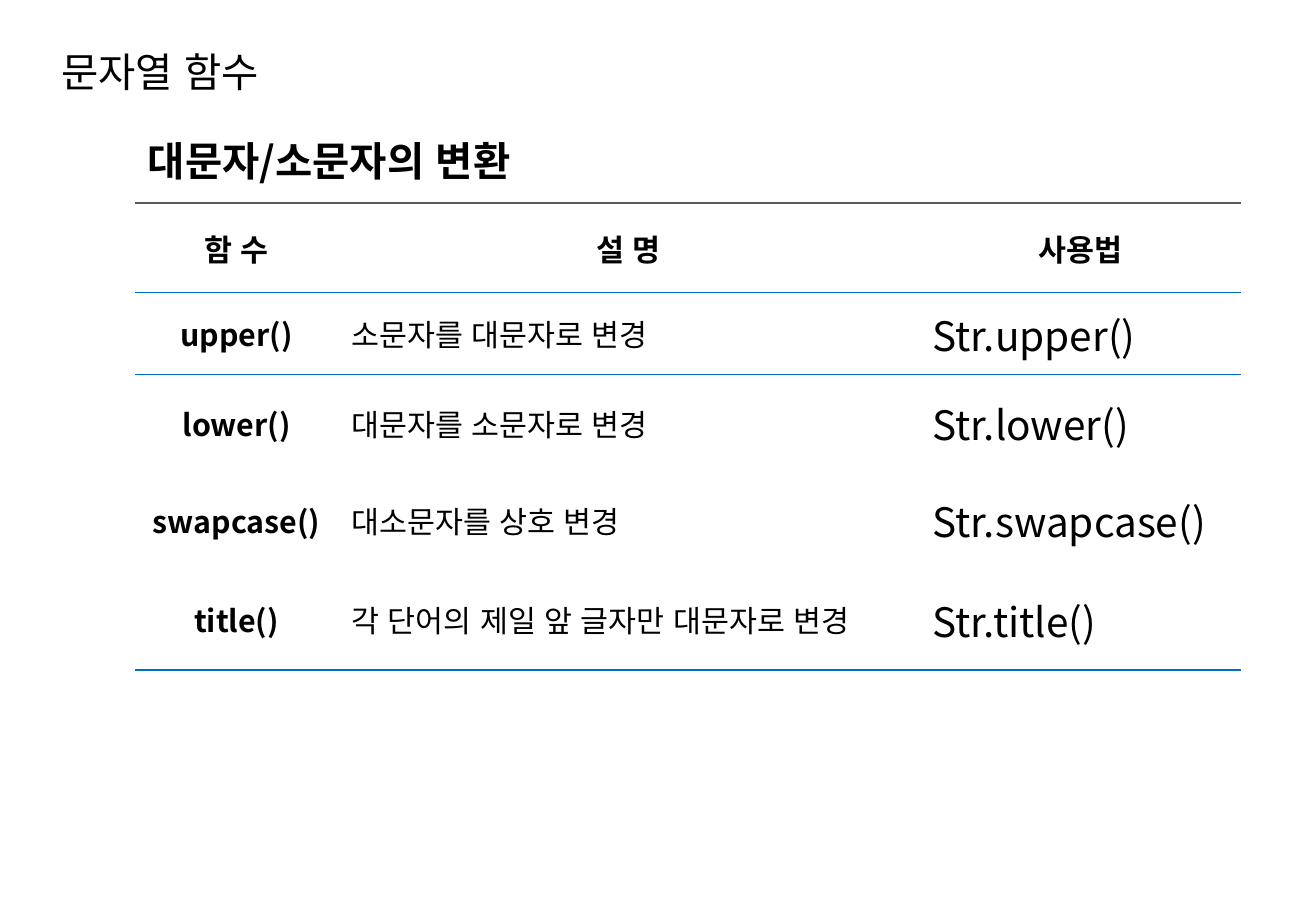
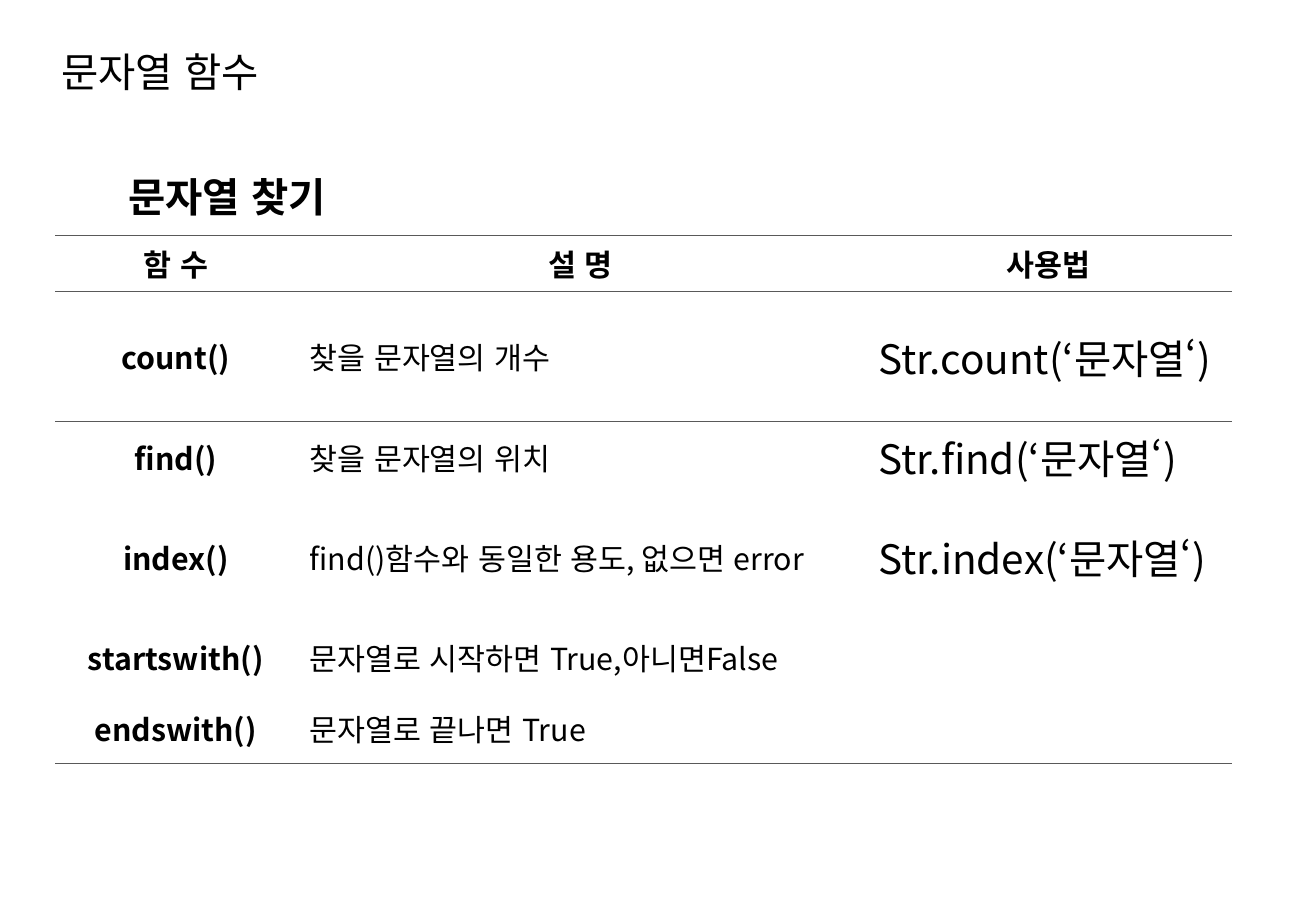
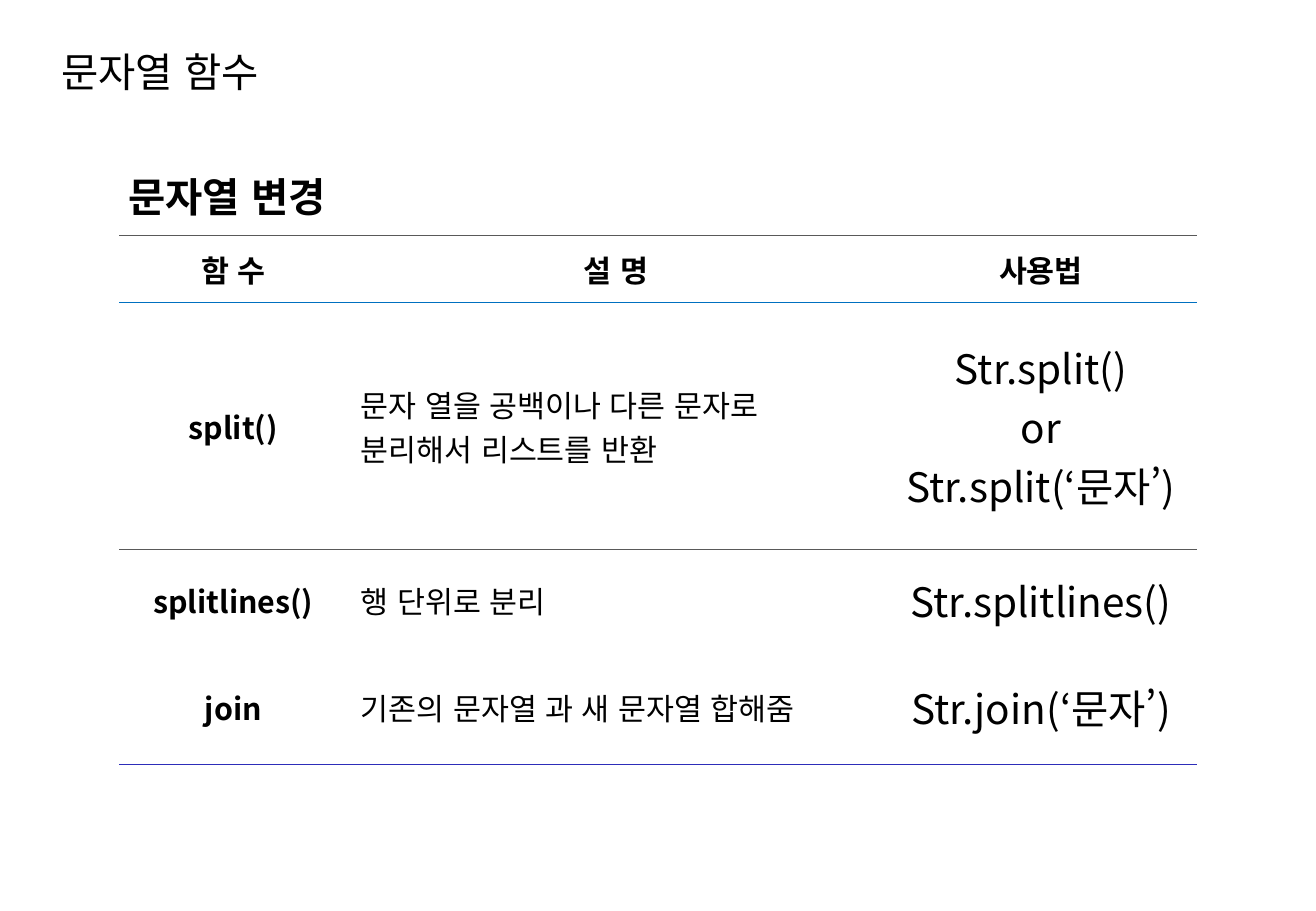
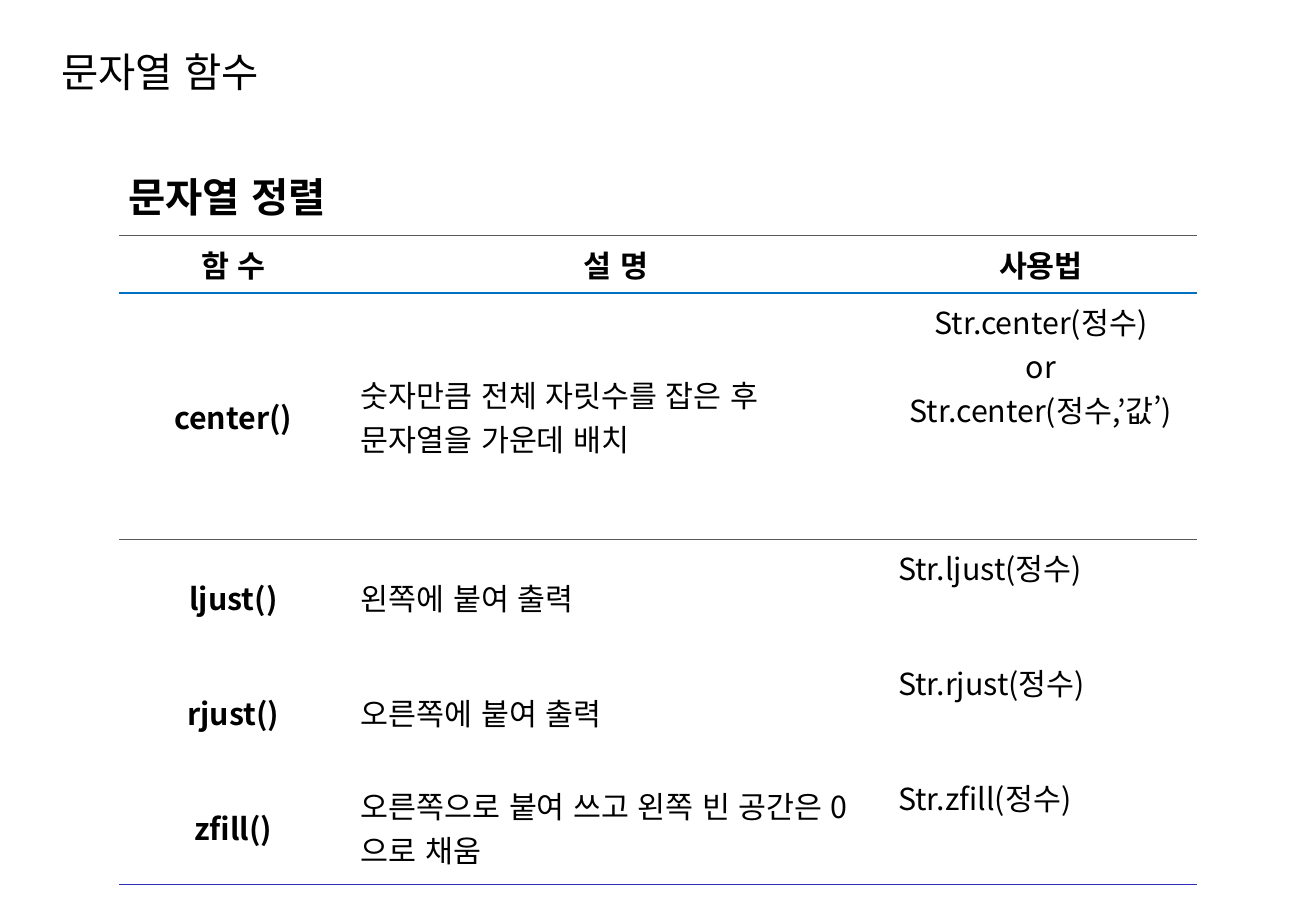
from lxml import etree
from pptx import Presentation
from pptx.dml.color import RGBColor
from pptx.enum.lang import MSO_LANGUAGE_ID
from pptx.enum.text import MSO_ANCHOR, PP_ALIGN
from pptx.oxml.ns import qn
from pptx.util import Pt

LEFT, CENTER = PP_ALIGN.LEFT, PP_ALIGN.CENTER
TOP, MIDDLE = MSO_ANCHOR.TOP, MSO_ANCHOR.MIDDLE
KOREAN = MSO_LANGUAGE_ID.KOREAN

FONT = "Noto Sans CJK KR"
COLORS = {"text": "000000", "gray": "595959", "blue": "0070C0", "indigo": "2D2DB9"}
RULE_WIDTHS = {"gray": 0.75, "blue": 1, "indigo": 1}
PLAIN_TABLE = "{2D5ABB26-0587-4C30-8999-92F81FD0307C}"
TITLE = "문자열 함수"
HEADINGS = ("함 수", "설 명", "사용법")

# Content: rules maps a line number (0 = table top) to its colour
SECTIONS = [
    {
        "heading": "대문자/소문자의 변환", "heading_at": (80.6, 77),
        "table_at": (80, 120.3),
        "columns": (120.4, 344.4, 190.8),
        "heights": (53.2, 48.4, 57.6, 57.6, 60.2),
        "rules": {0: "gray", 1: "blue", 2: "blue", 5: "blue"},
        "usage": (24, LEFT, MIDDLE),
        "rows": [
            ("upper()", "소문자를 대문자로 변경", "Str.upper()"),
            ("lower()", "대문자를 소문자로 변경", "Str.lower()"),
            ("swapcase()", "대소문자를 상호 변경", "Str.swapcase()"),
            ("title()", "각 단어의 제일 앞 글자만 대문자로 변경", "Str.title()"),
        ],
    },
    {
        "heading": "문자열 찾기", "heading_at": (69, 98.6),
        "table_at": (32.7, 139.7),
        "columns": (143, 337, 217.4),
        "heights": (33.2, 77, 42, 77, 41.8, 41.8),
        "rules": {0: "gray", 1: "gray", 2: "gray", 6: "gray"},
        "usage": (24, LEFT, MIDDLE),
        "rows": [
            ("count()", "찾을 문자열의 개수", "Str.count(‘문자열‘)"),
            ("find()", "찾을 문자열의 위치", "Str.find(‘문자열‘)"),
            ("index()", "find()함수와 동일한 용도, 없으면 error", "Str.index(‘문자열‘)"),
            ("startswith()", "문자열로 시작하면 True,아니면False", ""),
            ("endswith()", "문자열로 끝나면 True", ""),
        ],
    },
    {
        "heading": "문자열 변경", "heading_at": (69, 98.6),
        "table_at": (70.6, 139.7),
        "columns": (135.4, 318.4, 185.2),
        "heights": (39.6, 146.4, 59.8, 67.7),
        "rules": {0: "gray", 1: "blue", 2: "gray", 4: "indigo"},
        "usage": (24, CENTER, MIDDLE),
        "rows": [
            ("split()", "문자 열을 공백이나 다른 문자로 분리해서 리스트를 반환",
             "Str.split()\nor\nStr.split(‘문자’)"),
            ("splitlines()", "행 단위로 분리", "Str.splitlines()"),
            ("join", "기존의 문자열 과 새 문자열 합해줌", "Str.join(‘문자’)"),
        ],
    },
    {
        "heading": "문자열 정렬", "heading_at": (69, 98.6),
        "table_at": (70.6, 139.7),
        "columns": (135.4, 318.4, 185.2),
        "heights": (34, 146.2, 68.1, 68.1, 68.1),
        "rules": {0: "gray", 1: "blue", 2: "gray", 5: "indigo"},
        "usage": (18, LEFT, TOP),
        "rows": [
            ("center()", "숫자만큼 전체 자릿수를 잡은 후 문자열을 가운데 배치",
             "Str.center(정수)\nor\nStr.center(정수,’값’)"),
            ("ljust()", "왼쪽에 붙여 출력", "Str.ljust(정수)"),
            ("rjust()", "오른쪽에 붙여 출력", "Str.rjust(정수)"),
            ("zfill()", "오른쪽으로 붙여 쓰고 왼쪽 빈 공간은 0으로 채움", "Str.zfill(정수)"),
        ],
    },
]


def write(frame, text, size, bold=False, align=LEFT):
    frame.text = text
    for paragraph in frame.paragraphs:
        paragraph.alignment = align
        font = paragraph.font
        font.size, font.bold, font.name = Pt(size), bold, FONT
        font.language_id = KOREAN
        font.color.rgb = RGBColor.from_string(COLORS["text"])
        defaults = paragraph._p.pPr.find(qn("a:defRPr"))
        etree.SubElement(defaults, qn("a:ea"), typeface=FONT)


def add_rule(cell, side, color):
    line = etree.SubElement(cell._tc.get_or_add_tcPr(), qn(side))
    if color is None:
        etree.SubElement(line, qn("a:noFill"))
    else:
        line.set("w", str(Pt(RULE_WIDTHS[color])))
        fill = etree.SubElement(line, qn("a:solidFill"))
        etree.SubElement(fill, qn("a:srgbClr"), val=COLORS[color])


deck = Presentation()
deck.slide_width, deck.slide_height = Pt(780), Pt(540)

for section in SECTIONS:
    slide = deck.slides.add_slide(deck.slide_layouts[6])

    # Slide title
    title = slide.shapes.add_textbox(Pt(29.2), Pt(23), Pt(450), Pt(39)).text_frame
    title.word_wrap = True
    title.vertical_anchor = MIDDLE
    write(title, TITLE, 24)

    # Function table
    rows = [HEADINGS] + section["rows"]
    left, top = section["table_at"]
    functions = slide.shapes.add_table(
        len(rows), len(HEADINGS), Pt(left), Pt(top),
        Pt(sum(section["columns"])), Pt(sum(section["heights"]))).table
    functions.first_row = functions.horz_banding = False
    functions._tbl.tblPr.find(qn("a:tableStyleId")).text = PLAIN_TABLE
    for column, width in zip(functions.columns, section["columns"]):
        column.width = Pt(width)
    for row, height in zip(functions.rows, section["heights"]):
        row.height = Pt(height)

    usage_size, usage_align, usage_anchor = section["usage"]
    for r, texts in enumerate(rows):
        for c, text in enumerate(texts):
            cell = functions.cell(r, c)
            cell.vertical_anchor = MIDDLE
            cell.margin_left = cell.margin_right = Pt(7.9)
            if r == 0 or c == 0:
                write(cell.text_frame, text, 18, True, CENTER)
            elif c == 1:
                write(cell.text_frame, text, 18)
            else:
                cell.vertical_anchor = usage_anchor
                align = CENTER if "\n" in text else usage_align
                write(cell.text_frame, text, usage_size, align=align)
            add_rule(cell, "a:lnT", section["rules"].get(r))
            add_rule(cell, "a:lnB", section["rules"].get(r + 1))
            cell.fill.background()

    # Section heading
    left, top = section["heading_at"]
    heading = slide.shapes.add_textbox(Pt(left), Pt(top), Pt(600), Pt(36)).text_frame
    heading.word_wrap = True
    write(heading, section["heading"], 24, True)

deck.save("out.pptx")
